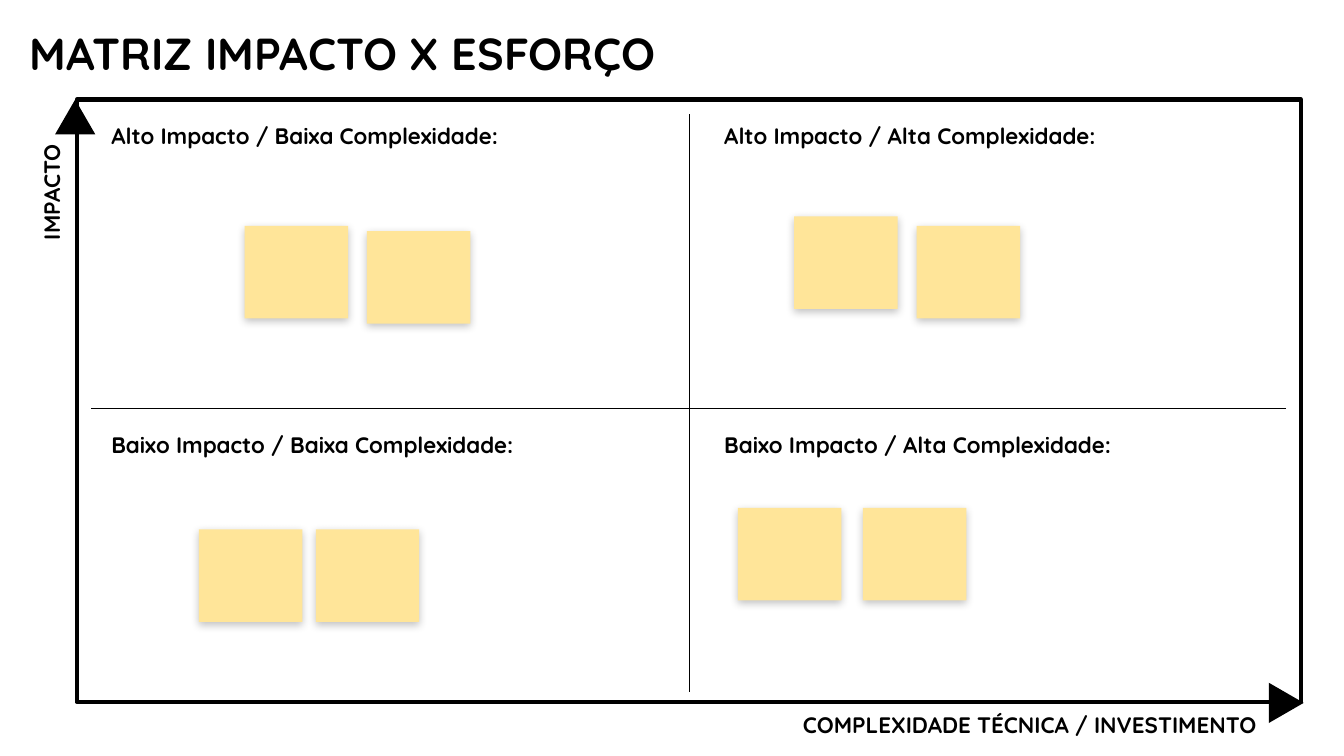
from lxml import etree
from pptx import Presentation
from pptx import util as u
from pptx.dml.color import RGBColor
from pptx.enum import shapes, text
from pptx.oxml import ns

W = 10
H = W * 9 / 16
INK, NOTE = "000000", "FFE599"
FRAME = (5.7, 13.17, 91.1, 79.68)
MID_X, MID_Y = 51.3, 54.04
NOTE_W, NOTE_H = 7.7, 12.25
QUADRANTS = [
    ("Alto Impacto / Baixa Complexidade:", 0, 0, [(21.6, 17.4), (12.5, 16.7)]),
    ("Alto Impacto / Alta Complexidade:", 1, 0, [(7.8, 15.45), (16.9, 16.7)]),
    ("Baixo Impacto / Baixa Complexidade:", 0, 1, [(9.1, 16), (17.8, 16)]),
    ("Baixo Impacto / Alta Complexidade:", 1, 1, [(3.6, 13.15), (12.9, 13.15)]),
]


def rgb(value):
    """Turn a hex string into a colour."""
    return RGBColor.from_string(value)


def col(share):
    """Convert a percentage of the slide's width to a length."""
    return u.Inches(W * share / 100)


def row(share):
    """Convert a percentage of the slide's height to a length."""
    return u.Inches(H * share / 100)


def place(box):
    """Convert a box in slide percentages to lengths."""
    x, y, w, h = box
    return col(x), row(y), col(w), row(h)


def add_text(s, box, words, size=12, inset=0.1, align=None,
             anchor=text.MSO_ANCHOR.TOP, rotation=0):
    """Add one line of bold text in the given box."""
    sp = s.shapes.add_textbox(*place(box))
    sp.rotation = rotation
    tf = sp.text_frame
    tf.word_wrap = True
    tf.vertical_anchor = anchor
    tf.margin_left = tf.margin_right = u.Inches(inset)
    tf.margin_top = tf.margin_bottom = u.Inches(inset)
    p = tf.paragraphs[0]
    p.alignment = align
    r = p.add_run()
    r.text = words
    r.font.name, r.font.size, r.font.bold = "Quicksand", u.Pt(size), True
    r.font.color.rgb = rgb(INK)


def add_solid(s, kind, box, fill, rotation=0):
    """Add a filled shape without outline or shadow."""
    sp = s.shapes.add_shape(kind, *place(box))
    sp.rotation = rotation
    sp.shadow.inherit = False
    sp.fill.solid()
    sp.fill.fore_color.rgb = rgb(fill)
    sp.line.fill.background()
    return sp


def add_divider(s, x1, y1, x2, y2):
    """Add a thin straight line between two points."""
    c = s.shapes.add_connector(shapes.MSO_CONNECTOR.STRAIGHT,
                               col(x1), row(y1), col(x2), row(y2))
    c.line.color.rgb = rgb(INK)
    c.line.width = u.Pt(0.75)
    etree.SubElement(c._element.spPr, ns.qn("a:effectLst"))


def add_note(s, x, y):
    """Add a sticky note with a soft shadow below it."""
    sp = add_solid(s, shapes.MSO_SHAPE.RECTANGLE, (x, y, NOTE_W, NOTE_H), NOTE)
    effects = sp._element.spPr.find(ns.qn("a:effectLst"))
    shadow = etree.SubElement(effects, ns.qn("a:outerShdw"), blurRad=str(u.Pt(4.5)),
                              dist=str(u.Pt(1.5)), dir="5400000", algn="bl",
                              rotWithShape="0")
    color = etree.SubElement(shadow, ns.qn("a:srgbClr"), val=INK)
    etree.SubElement(color, ns.qn("a:alpha"), val="24000")


def add_axes(s, box):
    """Draw the frame, its arrowheads, axis names and dividers."""
    x, y, w, h = box
    right, bottom = x + w, y + h
    sp = s.shapes.add_shape(shapes.MSO_SHAPE.RECTANGLE, *place(box))
    sp.shadow.inherit = False
    sp.fill.background()
    sp.line.color.rgb = rgb(INK)
    sp.line.width = u.Pt(2.25)
    triangle = shapes.MSO_SHAPE.ISOSCELES_TRIANGLE
    add_solid(s, triangle, (x - 1.6, y, 3, 4.62), INK)
    add_solid(s, triangle, (right - 2.6, bottom - 2.18, 3, 4.62), INK, 90)
    align = text.PP_ALIGN.RIGHT
    add_text(s, (right - 43.3, bottom - 0.58, 41, 6.4),
             "COMPLEXIDADE TÉCNICA / INVESTIMENTO", align=align)
    add_text(s, (x - 16, y + 25.65, 27.8, 6.4), "IMPACTO", align=align, rotation=270)
    add_divider(s, right - 1.1, MID_Y, x + 1.1, MID_Y)
    add_divider(s, MID_X, y + 1.95, MID_X, bottom - 1.25)


def add_quadrant(s, box, label, notes):
    """Add a quadrant's label and its sticky notes."""
    x, y, w, h = box
    add_text(s, (x + 1.6, y + 1.2, w - 2, 6.05), label)
    for dx, dy in notes:
        add_note(s, x + dx, y + dy)


def main():
    """Build and save the impact and effort matrix."""
    prs = Presentation()
    prs.slide_width, prs.slide_height = u.Inches(W), u.Inches(H)
    s = prs.slides.add_slide(prs.slide_layouts[6])
    add_text(s, (1.8, 2.9, 83.8, 8), "MATRIZ IMPACTO X ESFORÇO", size=24,
             inset=0.04, anchor=text.MSO_ANCHOR.MIDDLE)
    add_axes(s, FRAME)
    x, y, w, h = FRAME
    xs, ys = (x, MID_X, x + w), (y, MID_Y, y + h)
    for label, i, j, notes in QUADRANTS:
        box = (xs[i], ys[j], xs[i + 1] - xs[i], ys[j + 1] - ys[j])
        add_quadrant(s, box, label, notes)
    prs.save("out.pptx")


if __name__ == "__main__":
    main()
